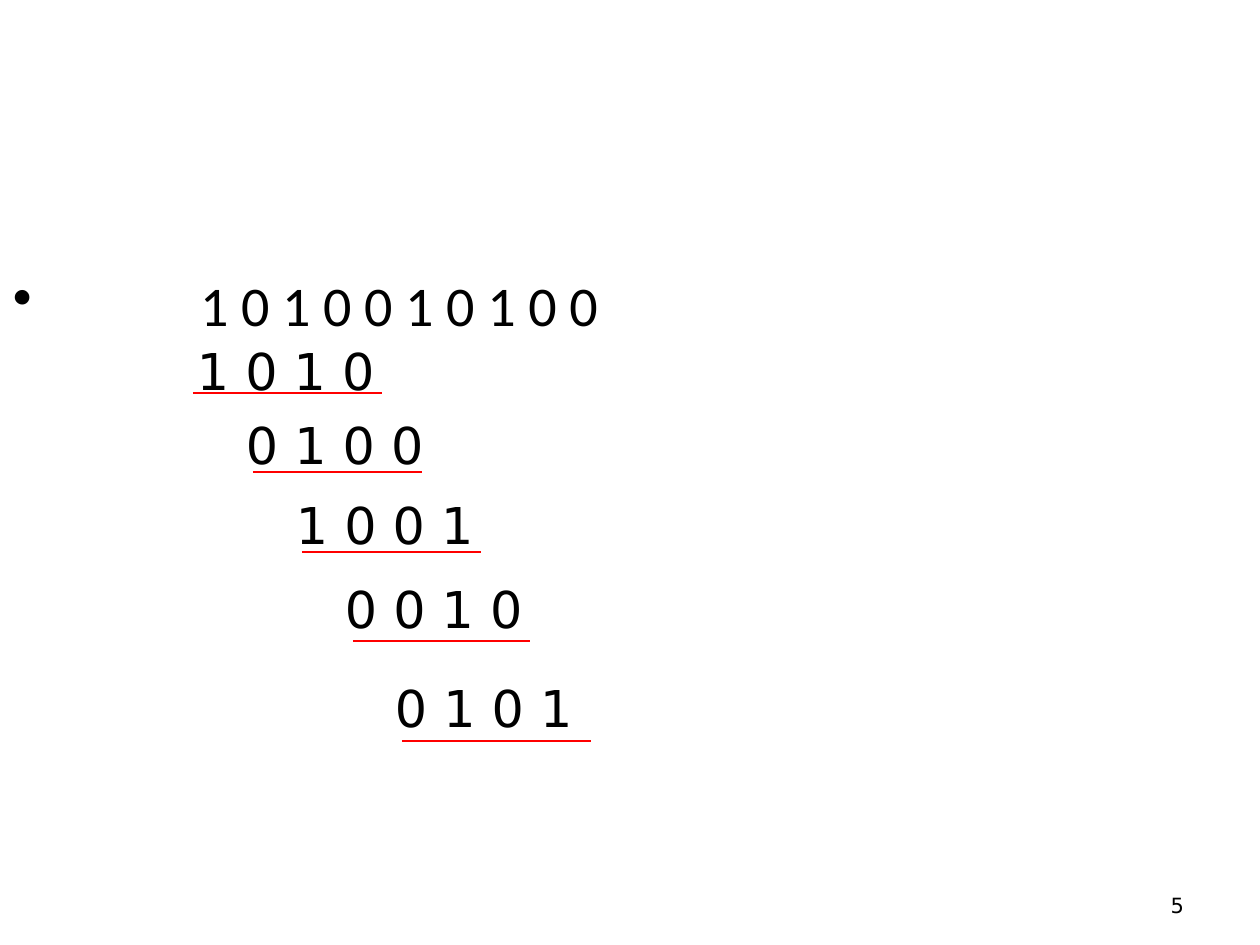
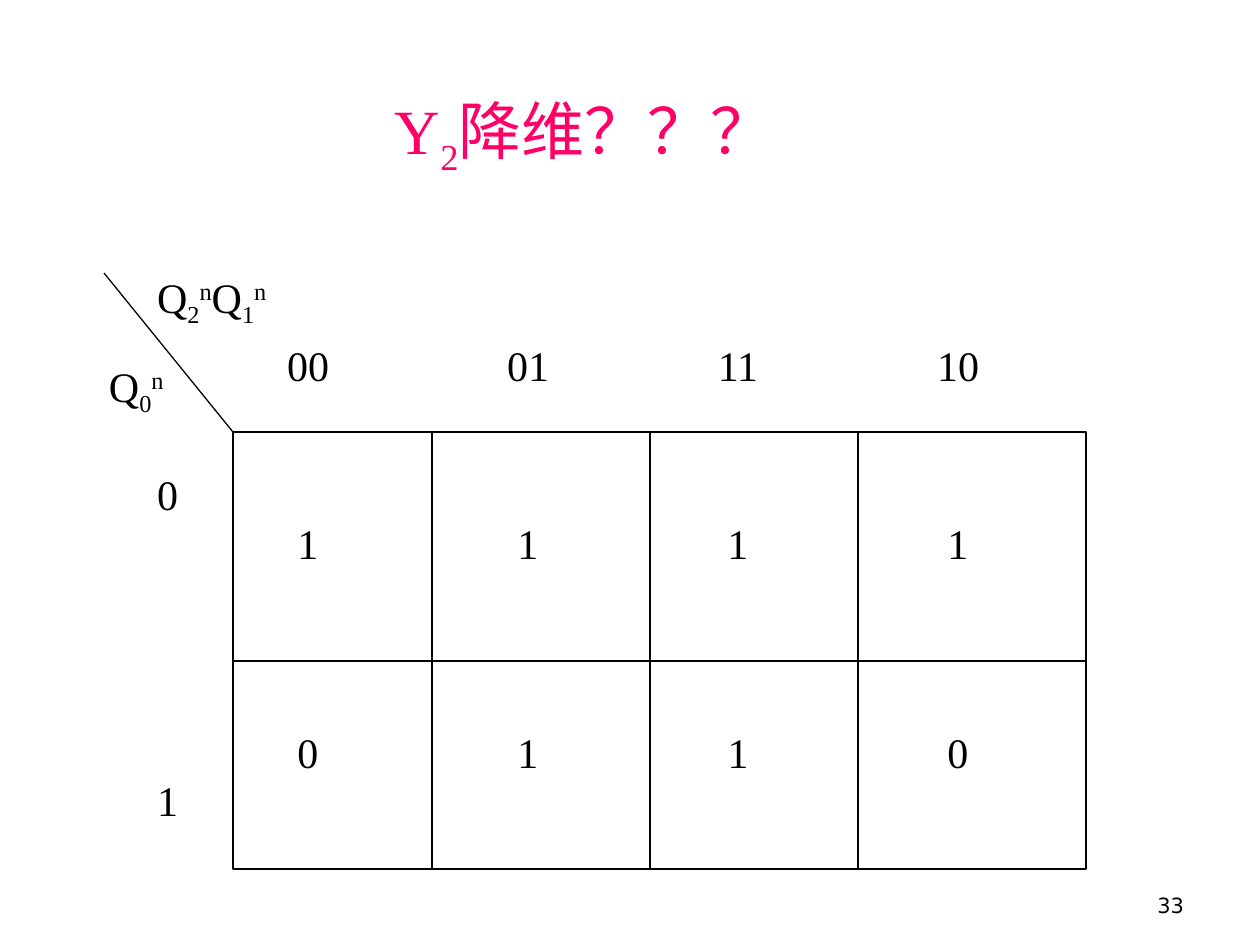
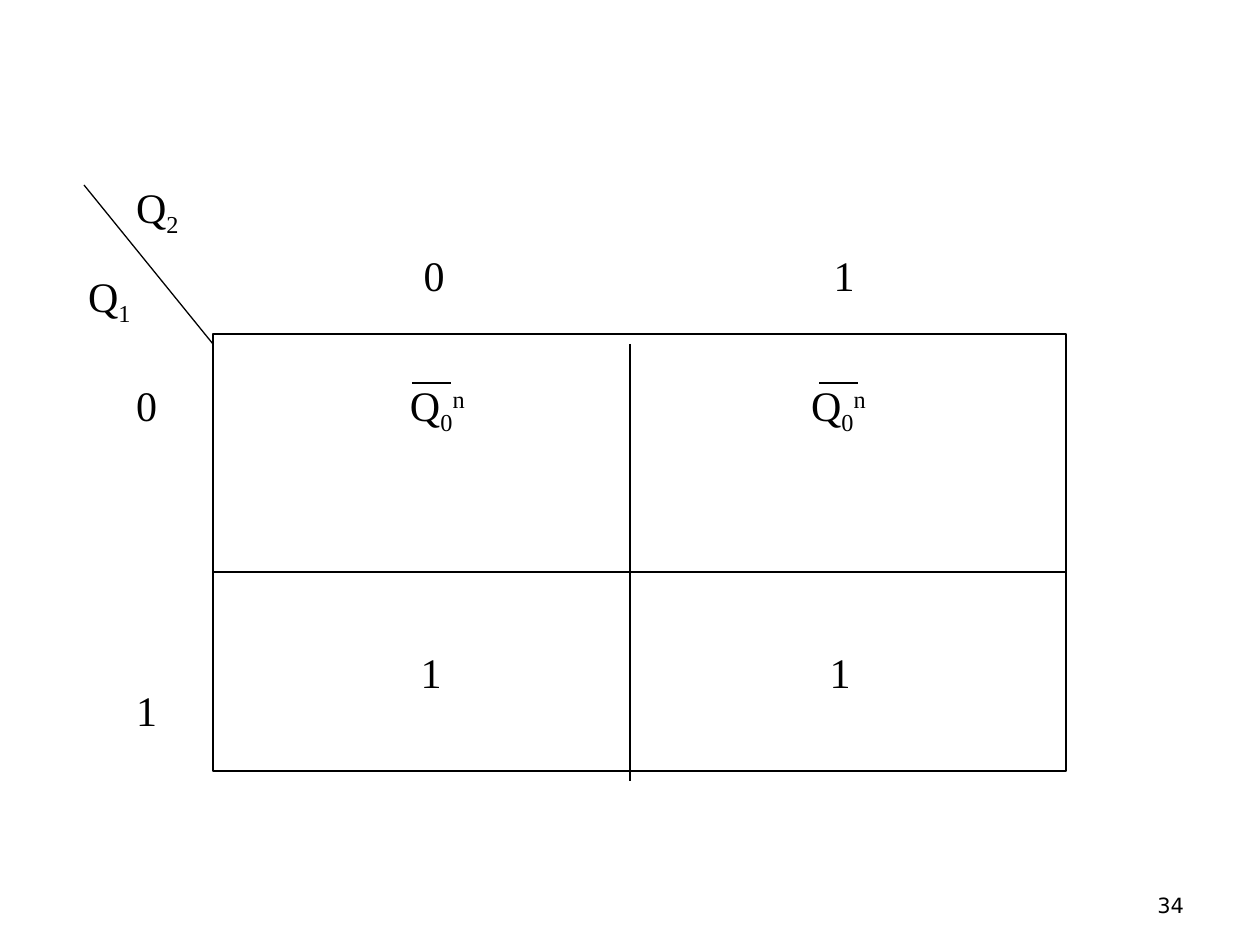
"""Build three slides on sequence detection and Karnaugh map reduction."""
from dataclasses import dataclass

from lxml import etree
from pptx import Presentation, util as u
from pptx.dml.color import RGBColor
from pptx.enum import shapes, text
from pptx.oxml import ns

EMU_PER_PX = 914400 / 126
INSET_X, INSET_Y = 13, 6
BASELINES = {"_": "-25000", "^": "30000"}


@dataclass(frozen=True)
class Theme:
    """Colours, fonts and point sizes shared by the slides."""
    ink: RGBColor = RGBColor(0, 0, 0)
    mark: RGBColor = RGBColor(255, 0, 0)
    title: RGBColor = RGBColor(255, 0, 102)
    serif: str = "Times New Roman"
    sans: str = "DejaVu Sans"
    body: str = "Calibri"
    number_size: int = 12
    map_size: int = 24
    window_size: int = 29
    body_size: int = 32
    title_size: int = 36
    line_width: float = 0.75
    label_gap: int = 146


THEME = Theme()


def px(length):
    """Turn pixels into EMU."""
    return u.Emu(round(length * EMU_PER_PX))


def add_child(parent, tag, **attributes):
    """Append a DrawingML element with the given attributes."""
    child = etree.SubElement(parent, ns.qn(tag))
    for name, value in attributes.items():
        child.set(name, str(value))
    return child


def style_font(paragraph, size, name, color):
    """Set the font shared by all runs of a paragraph."""
    paragraph.font.size = u.Pt(size)
    paragraph.font.name = name
    paragraph.font.color.rgb = color


def add_runs(paragraph, markup):
    """Add runs, where _ lowers and ^ raises the next character."""
    plain, shift = "", None
    for character in markup:
        if character in BASELINES:
            if plain:
                paragraph.add_run().text = plain
            plain, shift = "", BASELINES[character]
        elif shift:
            run = paragraph.add_run()
            run.text = character
            run._r.get_or_add_rPr().set("baseline", shift)
            shift = None
        else:
            plain += character
    if plain:
        paragraph.add_run().text = plain


def add_text(slide, box, lines, size=THEME.map_size, font=THEME.serif,
             color=THEME.ink, stops=(), align="l", gap=0, grow=True):
    """Add a text box whose tab stops are given as slide positions."""
    shape = slide.shapes.add_textbox(*map(px, box))
    frame = shape.text_frame
    frame.margin_left = frame.margin_right = px(INSET_X)
    frame.margin_top = frame.margin_bottom = px(INSET_Y)
    frame.word_wrap = True
    if grow:
        frame.auto_size = text.MSO_AUTO_SIZE.SHAPE_TO_FIT_TEXT
    for index, line in enumerate(lines):
        paragraph = frame.add_paragraph() if index else frame.paragraphs[0]
        if index:
            paragraph.space_before = u.Pt(gap)
        if stops:
            tabs = add_child(paragraph._p.get_or_add_pPr(), "a:tabLst")
            for stop in stops:
                add_child(tabs, "a:tab", pos=px(stop - box[0] - INSET_X), algn=align)
        add_runs(paragraph, line)
        style_font(paragraph, size, font, color)
    return shape


def add_line(slide, start, end, color=THEME.ink):
    """Add a thin straight line."""
    line = slide.shapes.add_connector(
        shapes.MSO_CONNECTOR.STRAIGHT, *map(px, (*start, *end)))
    line.line.color.rgb = color
    line.line.width = u.Pt(THEME.line_width)
    add_child(line._element.spPr, "a:effectLst")


def add_slide(presentation, number):
    """Add a blank slide with its page number."""
    slide = presentation.slides.add_slide(presentation.slide_layouts[6])
    shape = add_text(slide, (903, 861, 294, 63), [str(number)],
                     THEME.number_size, THEME.sans, grow=False)
    shape.text_frame.vertical_anchor = text.MSO_ANCHOR.BOTTOM
    shape.text_frame.paragraphs[0].alignment = text.PP_ALIGN.RIGHT
    return slide


def add_bullet(slide, box, line, indent):
    """Add a bulleted line with a hanging indent."""
    shape = add_text(slide, box, [], grow=False)
    paragraph = shape.text_frame.paragraphs[0]
    properties = paragraph._p.get_or_add_pPr()
    properties.set("marL", str(px(indent)))
    properties.set("indent", str(-px(indent)))
    add_child(properties, "a:buChar", char="•")
    add_runs(paragraph, line)
    style_font(paragraph, THEME.body_size, THEME.body, THEME.ink)


def add_map_frame(slide, left, top, divider_y, divider_xs, divider_top):
    """Add the outline, dividers and corner slash of a Karnaugh map."""
    width, height = 853, 437
    frame = slide.shapes.add_shape(
        shapes.MSO_SHAPE.RECTANGLE, *map(px, (left, top, width, height)))
    frame.shadow.inherit = False
    frame.fill.background()
    frame.line.color.rgb = THEME.ink
    frame.line.width = u.Pt(THEME.line_width)
    add_line(slide, (left, divider_y), (left + width, divider_y))
    for x in divider_xs:
        add_line(slide, (x, divider_top), (x, divider_top + height))
    add_line(slide, (left, divider_top), (left - 129, divider_top - 159))


def add_map_labels(slide, left, top, column_name, row_name, row_name_width):
    """Add the variable names and the row values beside a map."""
    add_text(slide, (left, top, 198, 71), [column_name])
    add_text(slide, (left - 48, top + 89, row_name_width, 71), [row_name])
    add_text(slide, (left, top + 198, 59, 370), ["0", "1"], gap=THEME.label_gap)


def add_map_row(slide, box, values, stops, align="ctr"):
    """Add a row of values, one at each tab stop."""
    add_text(slide, box, ["".join("\t" + value for value in values)],
             stops=stops, align=align)


def build_windows_slide(presentation):
    """Show the four-bit windows sliding along a bit sequence."""
    slide = add_slide(presentation, 5)
    add_bullet(slide, (0, 265, 714, 128), "1 0 1 0 0 1 0 1 0 0", 187)
    windows = [("1 0 1 0", 334, 193, 382, 393),
               ("0 1 0 0", 408, 253, 422, 472),
               ("1 0 0 1", 488, 302, 481, 552),
               ("0 0 1 0", 572, 353, 530, 641),
               ("0 1 0 1", 671, 402, 591, 741)]
    for index, (bits, top, start, end, underline) in enumerate(windows):
        left = 184 + 99 * index // 2
        add_text(slide, (left, top, 288, 74), [bits], THEME.window_size, THEME.sans)
        add_line(slide, (start, underline), (end, underline), THEME.mark)


def build_full_map_slide(presentation):
    """Show the three-variable map."""
    slide = add_slide(presentation, 33)
    add_map_frame(slide, 233, 432, 661, (432, 650, 858), 432)
    add_map_labels(slide, 144, 265, "Q_2^nQ_1^n", "Q_0^n", 92)
    columns = (308, 528, 738, 958)
    add_map_row(slide, (253, 334, 853, 63), ("00", "01", "11", "10"), columns)
    add_map_row(slide, (233, 512, 833, 63), "1111", columns)
    add_map_row(slide, (243, 721, 833, 63), "0110", columns)
    add_text(slide, (382, 86, 595, 100), ["Y_2降维？？？"],
             THEME.title_size, color=THEME.title)


def build_reduced_map_slide(presentation):
    """Show the map reduced to two variables."""
    slide = add_slide(presentation, 34)
    add_map_frame(slide, 213, 334, 572, (630,), 344)
    add_map_labels(slide, 123, 175, "Q_2", "Q_1", 80)
    add_map_row(slide, (233, 244, 853, 63), "01", (434, 844))
    add_map_row(slide, (282, 373, 684, 121), ("Q_0^n", "Q_0^n"), (410, 811), "l")
    add_map_row(slide, (292, 641, 684, 63), "11", (431, 840))
    for left in (412, 819):
        add_line(slide, (left, 383), (left + 39, 383))


def main():
    """Build and save the presentation."""
    presentation = Presentation()
    presentation.slide_width, presentation.slide_height = px(1260), px(945)
    build_windows_slide(presentation)
    build_full_map_slide(presentation)
    build_reduced_map_slide(presentation)
    presentation.save("out.pptx")


if __name__ == "__main__":
    main()
